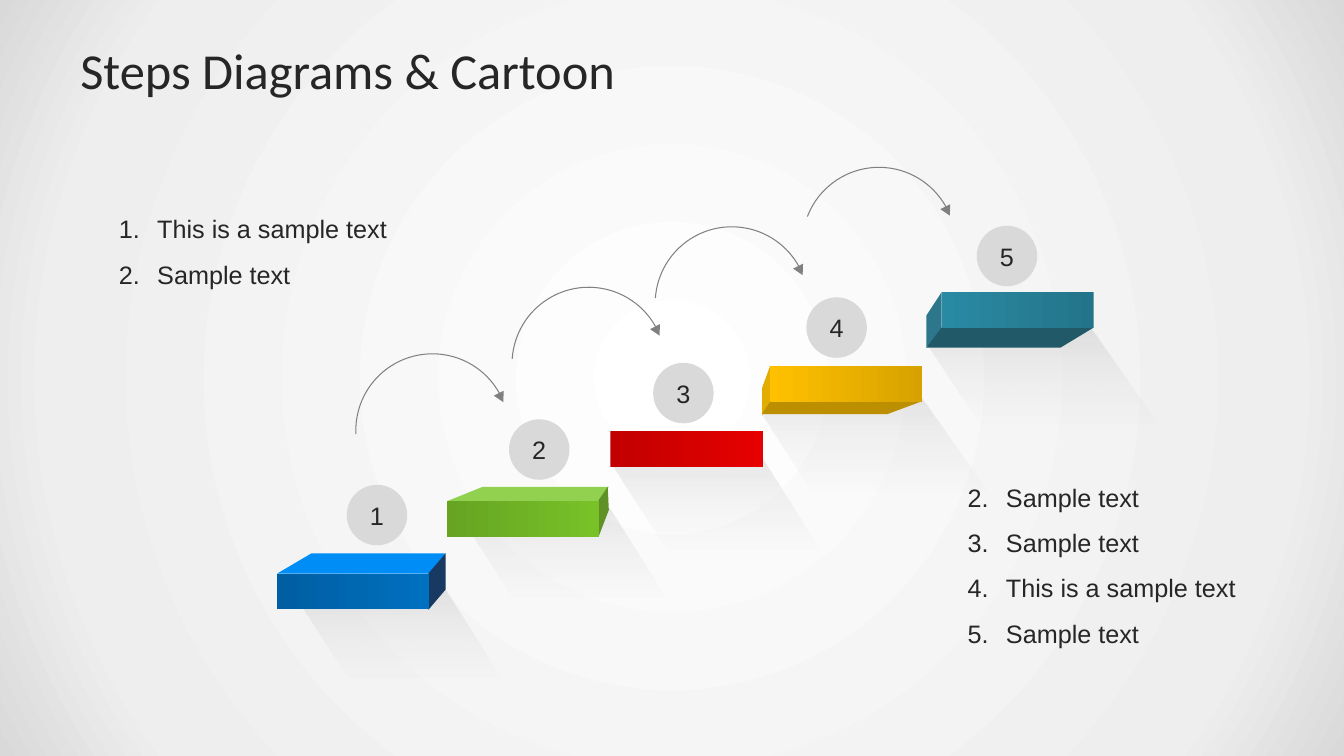
from pptx import Presentation
from pptx.dml.color import RGBColor as RGB
from pptx.enum.shapes import MSO_SHAPE as Kind
from pptx.enum.text import MSO_ANCHOR as Anchor, MSO_AUTO_SIZE as Auto, PP_ALIGN as Align
from pptx.oxml import parse_xml
from pptx.oxml.ns import nsdecls, qn
from pptx.util import Inches, Pt
from lxml.etree import SubElement as Sub

INK = {
    "text": "262626", "badge": "D9D9D9", "arc": "808080",
    "blue": "005EA2", "blue end": "0070C0", "blue top": "008DF6", "blue side": "183962",
    "green": "66A422", "green end": "78C228", "green top": "92D050", "green side": "5F9127",
    "red": "C20000", "red end": "E60000",
    "gold": "FFC000", "gold end": "D7A200", "gold side": "E2AC00", "gold base": "BC8F00",
    "teal": "298AA3", "teal end": "23748A", "teal side": "2C778C", "teal base": "215968",
}
LINEAR = '<a:lin ang="{}" scaled="0"/>'
ROUND = '<a:path path="circle"><a:fillToRect l="50000" t="50000" r="50000" b="50000"/></a:path>'
SHADE = [(0, "000000", 8), (42, "6B6B6B", 0)]

deck = Presentation()
deck.slide_width, deck.slide_height = Inches(13.333), Inches(7.5)
cell = deck.slide_height // 75
slide = deck.slides.add_slide(deck.slide_layouts[3])
shapes = slide.shapes


def grid(*cells):
    return [round(n * cell) for n in cells]


def paint(item, fill, way=None):
    if item is not slide:
        item.shadow.inherit = False
        item.line.fill.background()
    base = slide.background.fill if item is slide else item.fill
    base.solid()
    if way is None:
        base.fore_color.rgb = RGB.from_string(INK[fill])
        return
    stops = "".join(
        f'<a:gs pos="{pos * 1000}"><a:srgbClr val="{hue}"><a:alpha val="{seen * 1000}"/></a:srgbClr></a:gs>'
        for pos, hue, seen in fill)
    old = next(slide.element.iter(qn("a:solidFill")) if item is slide
               else item.element.iter(qn("a:solidFill")))
    old.getparent().replace(old, parse_xml(
        f'<a:gradFill {nsdecls("a")} rotWithShape="1"><a:gsLst>{stops}</a:gsLst>{way}</a:gradFill>'))


paint(slide, [(0, "FFFFFF", 100), (81, "EEEEEE", 100), (100, "D9D9D9", 100)], ROUND)

title, *lists = slide.placeholders
title.left, title.top, title.width, title.height = grid(6.67, 3, 120, 7.8)
title.text = "Steps Diagrams & Cartoon"
title.text_frame.vertical_anchor = Anchor.MIDDLE
look = {"margin_left": 1.3, "margin_right": 1.3, "margin_top": 0.7, "margin_bottom": 0.7}
for key, gap in look.items():
    setattr(title.text_frame, key, grid(gap)[0])
title.text_frame.auto_size = Auto.NONE
head = title.text_frame.paragraphs[0]
head.alignment = Align.LEFT
for key, value in {"name": "Calibri", "size": Pt(36), "bold": False}.items():
    setattr(head.font, key, value)
head.font.color.rgb = RGB.from_string(INK["text"])

notes = [
    ((10.8, 19.2, 28.8, 10.1), 1, ["This is a sample text", "Sample text"]),
    ((95, 45.8, 28.8, 18.6), 2, ["Sample text", "Sample text", "This is a sample text", "Sample text"]),
]
for body, (area, first, lines) in zip(lists, notes):
    body.left, body.top, body.width, body.height = grid(*area)
    frame = body.text_frame
    frame.text = "\n".join(lines)
    frame.word_wrap = False
    frame.auto_size = Auto.SHAPE_TO_FIT_TEXT
    for para in frame.paragraphs:
        para.line_spacing = 1.5
        para.space_before = Pt(0)
        form = para._p.get_or_add_pPr()
        form.set("marL", str(Inches(0.38)))
        form.set("indent", str(-Inches(0.38)))
        Sub(form, qn("a:buFont"), typeface="+mj-lt")
        Sub(form, qn("a:buAutoNum"), type="arabicPeriod", startAt=str(first))
        para.font.name, para.font.size = "Arial", Pt(18)
        para.font.color.rgb = RGB.from_string(INK["text"])

plain = [(15, 0), (0, 0.5), (13.6, 21.6), (23.4, 13.3)]
shades = [[(x + dx, y + dy) for dx, dy in plain]
          for x, y in [(45.5, 50.5), (29.1, 58.4), (60.8, 45.7)]]
shades += [
    [(91.4, 39.4), (75.6, 41), (89.1, 62.1), (100.6, 52.5)],
    [(108.3, 32.7), (92.1, 34.4), (106, 55.4), (117.5, 45.8)],
]
faces = [(spots, SHADE, LINEAR.format(5400000)) for spots in shades]

steps = [
    ("blue", 27.5, 56.9, 0, (37.4, 51.1), {
        "top": [(30.9, 54.9), (44.2, 54.9), (42.6, 56.9), (27.5, 56.9)],
        "side": [(44.2, 54.9), (44.2, 58.5), (42.5, 60.5), (42.5, 56.9)]}),
    ("green", 44.35, 49.7, 0, (53.5, 44.6), {
        "top": [(47.9, 48.3), (60.4, 48.3), (59.4, 49.7), (44.4, 49.7)],
        "side": [(60.3, 48.3), (60.4, 50.6), (59.4, 53.2), (59.4, 49.6)]}),
    ("red", 60.55, 42.75, 0, (67.8, 39), {}),
    ("gold", 76.4, 36.3, 180, (83, 32.5), {
        "side": [(76.4, 36.3), (76.4, 39.8), (75.6, 41.2), (75.6, 38.5)],
        "base": [(76.4, 39.8), (91.5, 39.8), (88, 41.1), (75.6, 41.1)]}),
    ("teal", 93.4, 29, 180, (99.9, 25.4), {
        "side": [(93.4, 29), (93.4, 32.6), (91.9, 34.5), (91.9, 31.3)],
        "base": [(93.4, 32.5), (108.5, 32.5), (105.2, 34.5), (91.9, 34.5)]}),
]
for name, x, y, turn, spot, sides in steps:
    faces += [(spots, f"{name} {part}", None) for part, spots in sides.items()]

for spots, fill, way in faces:
    start, *rest = [grid(*spot) for spot in spots]
    pen = shapes.build_freeform(*start, scale=1.0)
    pen.add_line_segments(rest, close=True)
    paint(pen.convert_to_shape(), fill, way)

for count, (name, x, y, turn, (mid, row), sides) in enumerate(steps, 1):
    front = shapes.add_shape(Kind.RECTANGLE, *grid(x, y, 15.1, 3.55))
    hues = [INK[name], INK[name + " end"]]
    if turn:
        hues.reverse()
    paint(front, [(0, hues[0], 100), (100, hues[1], 100)], LINEAR.format(turn * 60000))

    badge = shapes.add_shape(Kind.OVAL, *grid(mid - 3, row - 3, 6, 6))
    paint(badge, "badge")
    badge.text_frame.text = str(count)
    badge.text_frame.vertical_anchor = Anchor.MIDDLE
    para = badge.text_frame.paragraphs[0]
    para.alignment = Align.CENTER
    para.font.name, para.font.size = "Arial", Pt(18)
    para.font.color.rgb = RGB.from_string(INK["text"])

hops = [(35.3, 35.1, 123.83), (50.8, 28.5, 127.74), (65, 22.5, 127.83), (79.6, 16.6, 138.02)]
for x, y, bend in hops:
    arc = shapes.add_shape(Kind.ARC, *grid(x, y, 15.2, 15.2))
    arc.adjustments[0], arc.adjustments[1] = bend, 0
    arc.rotation = 330.9
    arc.shadow.inherit = False
    arc.fill.background()
    arc.line.color.rgb = RGB.from_string(INK["arc"])
    arc.line.width = Pt(0.75)
    tip = shapes.add_shape(Kind.ISOSCELES_TRIANGLE, *grid(x + 13.85, y + 3.85, 1.1, 1))
    tip.rotation = 153.3
    paint(tip, "arc")

deck.save("out.pptx")
